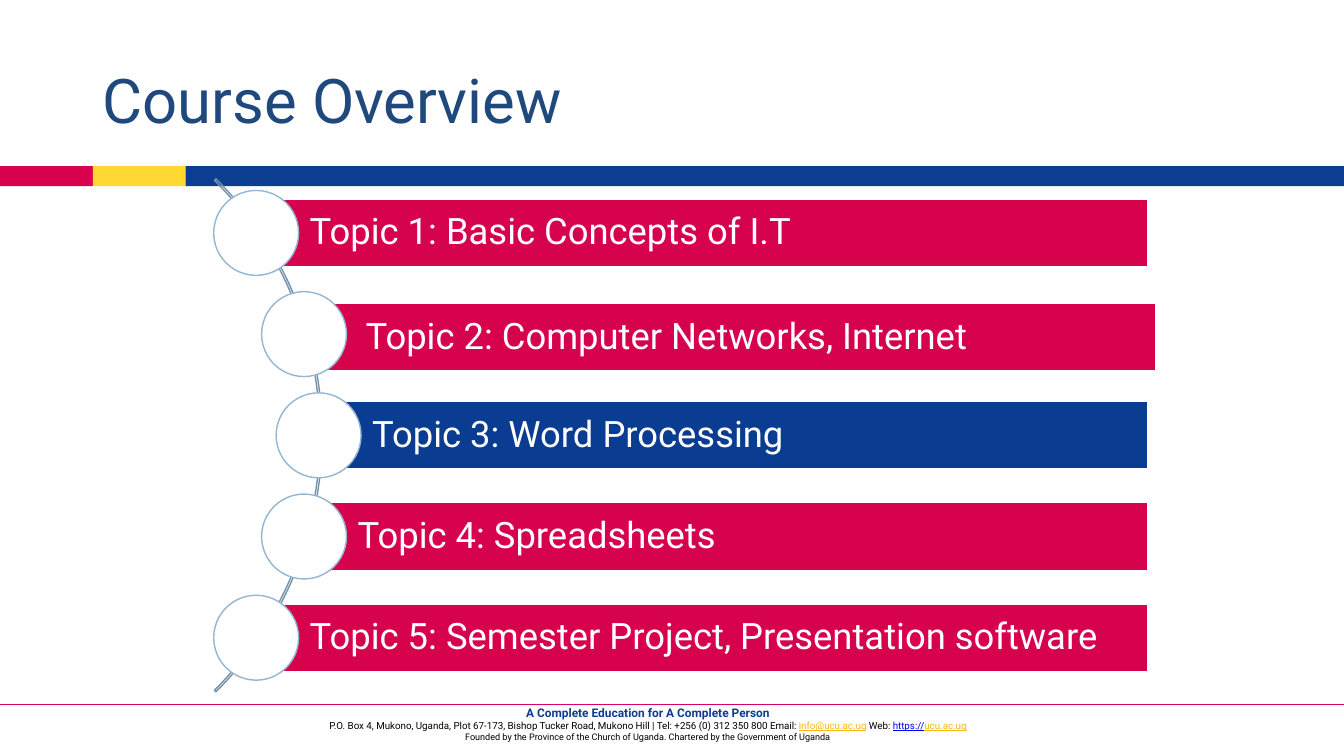
import math
from dataclasses import dataclass

import pptx
import pptx.util
import pptx.dml.color
import pptx.enum.shapes
import pptx.enum.text
from lxml import etree

Cm, Pt = pptx.util.Cm, pptx.util.Pt
SHAPE = pptx.enum.shapes.MSO_SHAPE
ALIGN = pptx.enum.text.PP_ALIGN
MIDDLE = pptx.enum.text.MSO_ANCHOR.MIDDLE


@dataclass(frozen=True)
class Theme:
    font: str = "Roboto"
    blue: str = "0B3D91"
    topic_blue: str = "0A3D91"
    red: str = "D7014D"
    topic_red: str = "D7024C"
    yellow: str = "FFD932"
    rule: str = "D70167"
    title: str = "1F497D"
    arc: str = "7792A8"
    ring: str = "94B6D2"
    link: str = "0000FF"
    gold: str = "F7B615"
    white: str = "FFFFFF"
    black: str = "000000"
    title_size: float = 44
    topic_size: float = 26
    motto_size: float = 8.5
    address_size: float = 7
    founder_size: float = 6.5


T = Theme()
WIDTH, HEIGHT = 33.87, 19.05
TOPICS = [
    "Topic 1: Basic Concepts of I.T",
    "Topic 2: Computer Networks, Internet",
    "Topic 3: Word Processing",
    "Topic 4: Spreadsheets",
    "Topic 5: Semester Project, Presentation software",
]
HIGHLIGHTED = 2
NUDGES = {1: (0.2, 0.08)}


def rgb(color):
    return pptx.dml.color.RGBColor.from_string(color)


def add_run(p, text, size, color, bold=False, underline=False):
    r = p.add_run()
    r.text = text
    f = r.font
    f.name, f.size, f.bold, f.underline = T.font, Pt(size), bold, underline
    f.color.rgb = rgb(color)


def add_shape(s, kind, left, top, width, height, fill=None, line=None):
    sp = s.shapes.add_shape(kind, Cm(left), Cm(top), Cm(width), Cm(height))
    sp.shadow.inherit = False
    if fill:
        sp.fill.solid()
        sp.fill.fore_color.rgb = rgb(fill)
    else:
        sp.fill.background()
    if line:
        sp.line.color.rgb = rgb(line)
        sp.line.width = Pt(1)
    else:
        sp.line.fill.background()
    return sp


def add_title(s, left, top, width, height):
    sp = s.shapes.title
    sp.left, sp.top, sp.width, sp.height = Cm(left), Cm(top), Cm(width), Cm(height)
    tf = sp.text_frame
    tf.vertical_anchor = MIDDLE
    p = tf.paragraphs[0]
    p.alignment = ALIGN.LEFT
    p.line_spacing = 0.9
    add_run(p, "Course Overview", T.title_size, T.title)


def add_color_band(s, left, top, width, height):
    block = 2.34
    parts = [(0, block, T.red), (block, block, T.yellow),
             (2 * block, width - 2 * block, T.blue)]
    for x, w, color in parts:
        add_shape(s, SHAPE.RECTANGLE, left + x, top, w, height, color)


def add_topic_bar(s, left, top, width, height, text, color):
    sp = add_shape(s, SHAPE.RECTANGLE, left, top, width, height, color, T.white)
    tf = sp.text_frame
    tf.word_wrap = True
    tf.vertical_anchor = MIDDLE
    tf.margin_left = Cm(1.35)
    tf.margin_right = tf.margin_top = tf.margin_bottom = Cm(0.17)
    p = tf.paragraphs[0]
    p.alignment = ALIGN.LEFT
    p.line_spacing = 0.9
    add_run(p, text, T.topic_size, T.white)


def add_topic_list(s, left, top, width, height):
    """Bars that start at circles strung along an arc bulging to the right."""
    circle, bar, arc_radius, circle_radius = 2.14, 1.7, 9.14, 9.05
    center_x, center_y = left - 6.41, top + height / 2
    pitch = (height - circle) / (len(TOPICS) - 1)

    arc = add_shape(s, SHAPE.BLOCK_ARC, center_x - arc_radius, center_y - arc_radius,
                    2 * arc_radius, 2 * arc_radius, line=T.arc)
    for i, value in enumerate((189, 27, 0.003)):
        arc.adjustments[i] = value

    for i, text in enumerate(TOPICS):
        y = top + circle / 2 + i * pitch
        x = center_x + math.sqrt(circle_radius ** 2 - (y - center_y) ** 2)
        dx, dy = NUDGES.get(i, (0, 0))
        color = T.topic_blue if i == HIGHLIGHTED else T.topic_red
        add_topic_bar(s, x + dx, y - bar / 2 + dy, left + width - x, bar, text, color)
        add_shape(s, SHAPE.OVAL, x - circle / 2, y - circle / 2, circle, circle,
                  T.white, T.ring)


def add_footer(s, left, top, width, height):
    rule_y = Cm(top + 0.1)
    rule = s.shapes.add_connector(pptx.enum.shapes.MSO_CONNECTOR.STRAIGHT,
                                  Cm(0), rule_y, Cm(WIDTH), rule_y)
    rule.line.color.rgb = rgb(T.rule)
    rule.line.width = Pt(1)
    etree.SubElement(rule._element.spPr, pptx.oxml.ns.qn("a:effectLst"))

    tf = s.shapes.add_textbox(Cm(left), Cm(top), Cm(width), Cm(height)).text_frame
    tf.word_wrap = True
    p = tf.paragraphs[0]
    p.alignment = ALIGN.CENTER
    add_run(p, "A Complete Education for A Complete Person", T.motto_size, T.blue, bold=True)
    p.add_line_break()
    address = [
        ("P.O. Box 4, Mukono, Uganda, Plot 67-173, Bishop Tucker Road, Mukono Hill"
         " | Tel: +256 (0) 312 350 800 Email: ", T.black, False),
        ("info@ucu.ac.ug", T.gold, True),
        (" Web: ", T.black, False),
        ("https://", T.link, True),
        ("ucu.ac.ug", T.gold, True),
    ]
    for text, color, underline in address:
        add_run(p, text, T.address_size, color, underline=underline)
    p = tf.add_paragraph()
    p.alignment = ALIGN.CENTER
    add_run(p, "Founded by the Province of the Church of Uganda. "
               "Chartered by the Government of Uganda", T.founder_size, T.black)


def main():
    prs = pptx.Presentation()
    prs.slide_width, prs.slide_height = Cm(WIDTH), Cm(HEIGHT)
    s = prs.slides.add_slide(prs.slide_layouts[5])
    add_color_band(s, 0, 4.19, WIDTH, 0.5)
    add_footer(s, 5.89, 17.65, 20.88, 1.2)
    add_title(s, 2.33, 1.02, 29.21, 3.18)
    add_topic_list(s, 5.39, 4.8, 23.54, 12.34)
    prs.save("out.pptx")


if __name__ == "__main__":
    main()
